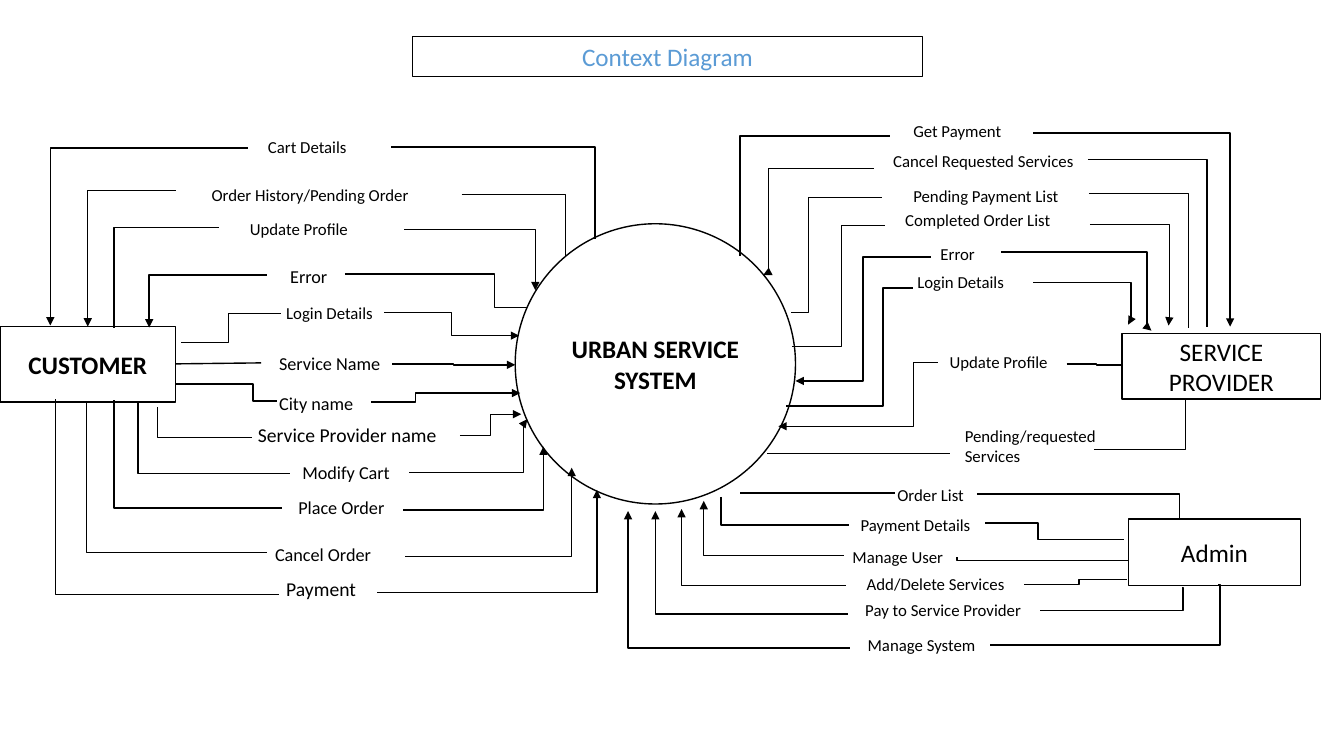
import pptx
import pptx.util
import pptx.dml.color
import pptx.enum.shapes
import pptx.enum.text
import pptx.oxml.ns
from lxml import etree
from pptx.util import Inches

BLACK, WHITE, TITLE_BLUE = "000000", "FFFFFF", "5B9BD5"
START, END = "a:headEnd", "a:tailEnd"
qn = pptx.oxml.ns.qn
ALIGN = pptx.enum.text.PP_ALIGN
SHAPES = pptx.enum.shapes.MSO_SHAPE
CONNECTORS = pptx.enum.shapes.MSO_CONNECTOR


def colour(hex_value):
    return pptx.dml.color.RGBColor.from_string(hex_value)


def write(holder, text, size, align=ALIGN.LEFT, bold=False, ink=BLACK):
    frame = holder.text_frame
    frame.word_wrap = True
    frame.text = text
    paragraph = frame.paragraphs[0]
    paragraph.alignment = align
    paragraph.font.name = "Calibri"
    paragraph.font.size = pptx.util.Pt(size)
    paragraph.font.bold = bold
    paragraph.font.color.rgb = colour(ink)


def outline(holder):
    holder.fill.solid()
    holder.fill.fore_color.rgb = colour(WHITE)
    holder.line.color.rgb = colour(BLACK)
    holder.line.width = pptx.util.Pt(1)


def add_entity(slide, box, text, kind=SHAPES.RECTANGLE, bold=False):
    entity = slide.shapes.add_shape(kind, *map(Inches, box))
    entity.shadow.inherit = False
    outline(entity)
    entity.text_frame.vertical_anchor = pptx.enum.text.MSO_ANCHOR.MIDDLE
    write(entity, text, 18, ALIGN.CENTER, bold)


def add_flow(slide, origin, x1, y1, x2, y2, bend=None, arrow=None):
    """Line drawn left to right; bend is the share of the width before the turn."""
    left, top = origin
    kind = CONNECTORS.STRAIGHT if bend is None else CONNECTORS.ELBOW
    flow = slide.shapes.add_connector(kind, Inches(left + x1), Inches(top + y1),
                                      Inches(left + x2), Inches(top + y2))
    flow.line.color.rgb = colour(BLACK)
    flow.line.width = pptx.util.Pt(1)
    properties = flow._element.spPr
    if bend is not None:
        guides = properties.find(qn("a:prstGeom")).find(qn("a:avLst"))
        etree.SubElement(guides, qn("a:gd"), name="adj1",
                         fmla=f"val {round(bend * 100000)}")
    if arrow:
        etree.SubElement(properties.find(qn("a:ln")), qn(arrow), type="triangle")
    etree.SubElement(properties, qn("a:effectLst"))


def add_messages(slide, origin, messages, align=ALIGN.LEFT):
    """Each message is a label with a flow on its left and one on its right."""
    for text, size, (x, y, width), left_flow, right_flow in messages:
        label = slide.shapes.add_textbox(Inches(origin[0] + x), Inches(origin[1] + y),
                                         Inches(width), Inches(0.31))
        write(label, text, size, align)
        label.text_frame.auto_size = pptx.enum.text.MSO_AUTO_SIZE.SHAPE_TO_FIT_TEXT
        add_flow(slide, origin, *left_flow)
        add_flow(slide, origin, *right_flow)


def add_title(slide, box):
    title = slide.shapes.title
    title.left, title.top, title.width, title.height = map(Inches, box)
    outline(title)
    write(title, "Context Diagram", 18, ALIGN.CENTER, ink=TITLE_BLUE)


def add_customer(slide, left, top):
    add_entity(slide, (left, top + 2.24, 1.74, 0.75), "CUSTOMER", bold=True)
    add_messages(slide, (left, top), [
        ("Cart Details", 12, (2.56, 0.31, 1.33),
         (0.5, 2.23, 2.46, 0.47, 0, START), (3.88, 0.46, 5.9, 1.37, 1)),
        ("Order History/Pending Order", 12, (2, 0.78, 2.58),
         (0.87, 2.24, 1.75, 0.89, 0, START), (4.58, 0.93, 5.61, 1.54, 1)),
        ("Update Profile", 12, (2.38, 1.12, 1.63),
         (1.13, 2.25, 2.17, 1.26, 0), (4.01, 1.28, 5.31, 1.88, 1, END)),
        ("Error", 13, (2.78, 1.58, 0.94),
         (1.48, 2.25, 2.65, 1.73, 0, START), (3.42, 1.72, 5.23, 2.05, 0.82)),
        ("Login Details", 12, (2.74, 1.95, 1.35),
         (1.8, 2.4, 2.79, 2.11, 0.47), (3.81, 2.1, 5.15, 2.33, 0.5, END)),
        ("Service Name", 13, (2.67, 2.45, 1.5),
         (1.74, 2.61, 2.59, 2.6), (3.89, 2.61, 5.11, 2.62, 0.5, END)),
        ("City name", 13, (2.67, 2.84, 1.37),
         (1.75, 2.81, 2.75, 2.98, 0.76), (3.68, 2.99, 5.16, 2.9, 0.3, END)),
        ("Service Provider name", 14, (2.46, 3.15, 2.35),
         (1.56, 3.04, 2.5, 3.34, 0), (4.56, 3.32, 5.17, 3.11, 0.5, END)),
        ("Modify Cart", 13, (2.9, 3.53, 1.32),
         (1.37, 3, 2.88, 3.7, 0), (4.06, 3.69, 5.23, 3.16, 0.97, END)),
        ("Place Order", 13, (2.86, 3.87, 1.41),
         (1.13, 2.97, 2.8, 4.04, 0), (4, 4.06, 5.39, 3.43, 1, END)),
        ("Cancel Order", 13, (2.63, 4.34, 1.67),
         (0.86, 3, 2.65, 4.48, 0), (4.02, 4.52, 5.67, 3.64, 1, END)),
        ("Payment", 14, (2.74, 4.67, 0.98),
         (0.55, 2.96, 2.77, 4.9, 0), (3.74, 4.88, 5.92, 3.86, 1, END)),
    ])


def add_service_provider(slide, left, top):
    add_entity(slide, (left + 4.13, top + 2.31, 1.97, 0.65), "SERVICE PROVIDER")
    add_messages(slide, (left, top), [
        ("Get Payment", 12, (1.96, 0.15, 1.42),
         (0.34, 1.54, 1.83, 0.35, 0), (3.25, 0.32, 5.2, 2.24, 1, END)),
        ("Cancel Requested Services", 12, (1.76, 0.45, 2.71),
         (0.57, 1.73, 1.67, 0.67, 0.05, START), (3.79, 0.58, 4.97, 2.24, 1)),
        ("Pending Payment List", 12, (1.96, 0.79, 2.25),
         (0.85, 2.1, 1.75, 0.96, 0.19), (3.8, 0.92, 4.79, 2.25, 1)),
        ("Completed Order List", 12, (1.88, 1.03, 1.96),
         (0.86, 2.44, 1.78, 1.24, 0.53), (3.81, 1.23, 4.59, 2.23, 1.01, END)),
        ("Error", 12, (2.23, 1.37, 0.94),
         (0.89, 2.78, 2.23, 1.55, 0.5, START), (2.93, 1.5, 4.42, 2.28, 0.97, END)),
        ("Login Details", 12, (2, 1.65, 1.44),
         (0.8, 3.03, 2.06, 1.86, 0.76), (3.25, 1.8, 4.19, 2.22, 1.03, END)),
        ("Update Profile", 12, (2.32, 2.44, 1.57),
         (0.72, 3.23, 2.3, 2.6, 0.85, START), (3.58, 2.61, 4.14, 2.62, 0.53)),
        ("Pending/requested Services", 12, (2.47, 3.17, 1.68),
         (0.61, 3.5, 2.42, 3.5), (3.85, 3.46, 4.76, 2.97, 1)),
    ])


def add_admin(slide, left, top):
    add_entity(slide, (left + 5.19, top + 1.15, 1.71, 0.66), "Admin")
    add_messages(slide, (left, top), [
        ("Order List", 12, (2.47, 0.76, 1.52),
         (1.34, 0.89, 2.88, 0.89), (3.69, 0.9, 5.62, 1.15, 1.04)),
        ("Payment Details", 12, (2.14, 1.06, 1.88),
         (1.15, 0.93, 2.42, 1.21, 0), (3.77, 1.19, 5.15, 1.35, 0.38)),
        ("Manage User", 12, (2.16, 1.37, 1.49),
         (0.98, 0.97, 2.37, 1.51, 0, START), (3.49, 1.53, 5.19, 1.56, 0)),
        ("Add/Delete Services", 12, (2.17, 1.64, 2.22),
         (0.76, 1.05, 2.39, 1.81, 0, START), (4.16, 1.8, 5.18, 1.75, 0.53)),
        ("Pay to Service Provider", 12, (2.05, 1.9, 2.61),
         (0.5, 1.07, 2.41, 2.09, 0, START), (4.32, 2.06, 5.72, 1.83, 1.01)),
        ("Manage System", 12, (1.98, 2.25, 2.32),
         (0.23, 1.07, 2.43, 2.43, 0, START), (3.82, 2.4, 6.08, 1.8, 1.01)),
    ], ALIGN.CENTER)


presentation = pptx.Presentation()
presentation.slide_width, presentation.slide_height = Inches(13.33), Inches(7.5)
context_slide = presentation.slides.add_slide(presentation.slide_layouts[5])

add_title(context_slide, (4.09, 0.36, 5.06, 0.4))
# Central system
add_entity(context_slide, (5.11, 2.22, 2.78, 2.78), "URBAN SERVICE SYSTEM",
           SHAPES.OVAL, bold=True)
# External parties and their data flows
add_customer(context_slide, 0, 1)
add_service_provider(context_slide, 7, 1)
add_admin(context_slide, 6, 4)

presentation.save("out.pptx")
